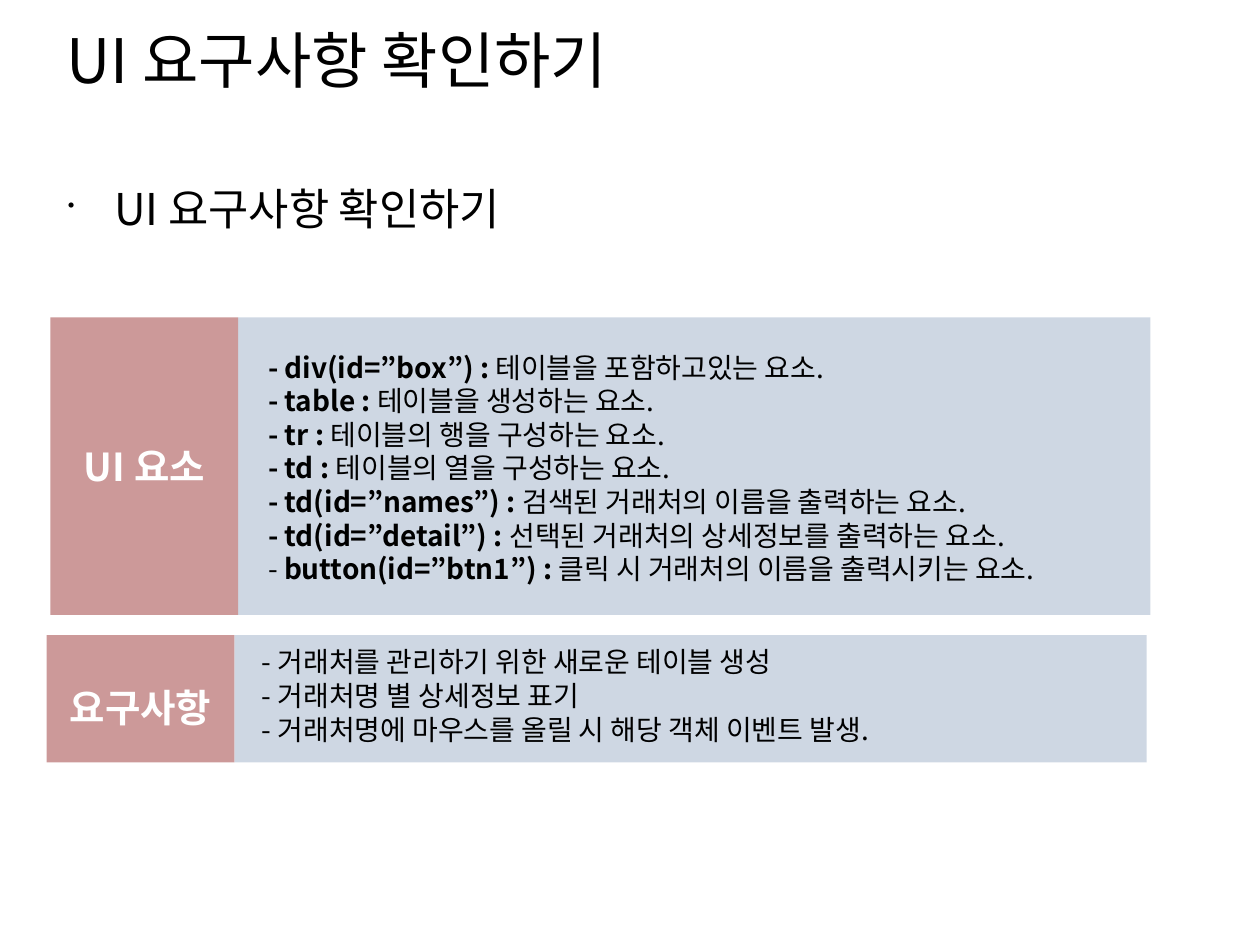
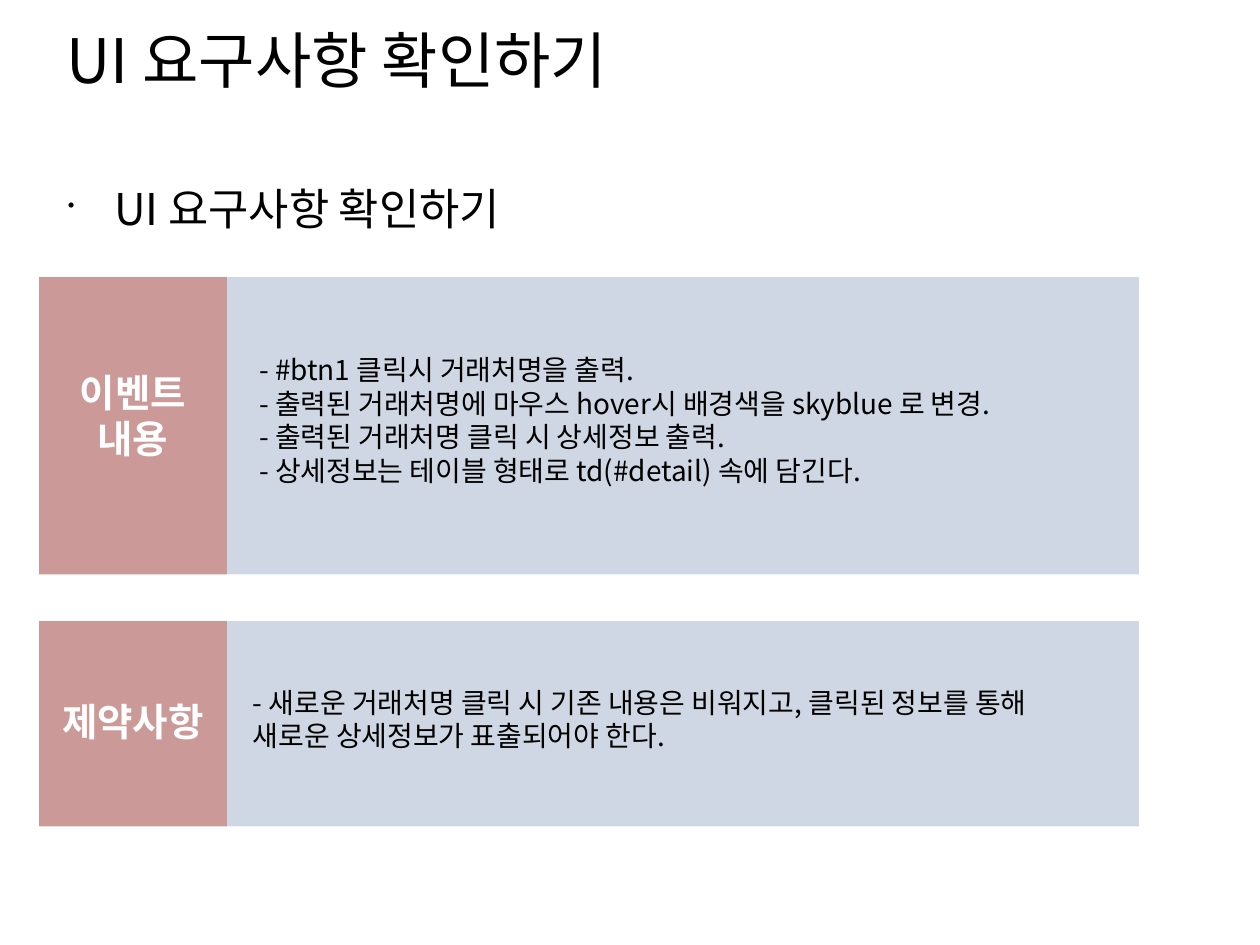
"""Build two slides of UI requirements as labelled bands."""
from dataclasses import dataclass

import pptx
import pptx.dml.color
import pptx.enum.shapes
import pptx.enum.text
import pptx.oxml.ns
import pptx.util
from lxml import etree


@dataclass(frozen=True)
class Theme:
    font: str = "Noto Sans CJK KR"
    ink: str = "000000"
    paper: str = "FFFFFF"
    label: str = "CC9999"
    panel: str = "9FB0C9"
    title_size: int = 35
    heading_size: int = 25
    label_size: int = 22
    body_size: int = 16


theme = Theme()
rgb = pptx.dml.color.RGBColor.from_string
qn = pptx.oxml.ns.qn
prs = pptx.Presentation()
prs.slide_width = pptx.util.Inches(10)
prs.slide_height = pptx.util.Inches(7.5)
col, row = prs.slide_width / 100, prs.slide_height / 75


def add_rect(s, x, y, w, h, color, alpha=None):
    sp = s.shapes.add_shape(pptx.enum.shapes.MSO_SHAPE.RECTANGLE,
                            round(x * col), round(y * row), round(w * col), round(h * row))
    sp.shadow.inherit = False
    sp.line.fill.background()
    sp.fill.solid()
    sp.fill.fore_color.rgb = rgb(color)
    if alpha:
        clr = sp.fill._xPr.find(".//" + qn("a:srgbClr"))
        etree.SubElement(clr, qn("a:alpha"), val=str(alpha * 1000))


def add_text(s, x, y, w, h, lines, size=theme.body_size, color=theme.ink,
             bold=False, align=None, bullet=None):
    tf = s.shapes.add_textbox(round(x * col), round(y * row),
                              round(w * col), round(h * row)).text_frame
    tf.word_wrap = True
    for i, line in enumerate(lines):
        p = tf.paragraphs[0] if i == 0 else tf.add_paragraph()
        p.alignment = align
        if bullet:
            pPr = p._p.get_or_add_pPr()
            pPr.set("marL", str(round(3.8 * col)))
            pPr.set("indent", str(round(-3.7 * col)))
            etree.SubElement(pPr, qn("a:buSzPct"), val="45000")
            etree.SubElement(pPr, qn("a:buChar"), char=bullet)
        for text, strong in [(line, bold)] if isinstance(line, str) else line:
            r = p.add_run()
            r.text = text
            r.font.name = theme.font
            r.font.size = pptx.util.Pt(size)
            r.font.bold = strong
            r.font.color.rgb = rgb(color)
            etree.SubElement(r._r.rPr, qn("a:ea"), typeface=theme.font)


heading = "UI 요구사항 확인하기"
label_w, panel_w = 14.9, 72.4
elements = [
    ("- div(id=”box”) : ", "테이블을 포함하고있는 요소."),
    ("- table : ", "테이블을 생성하는 요소."),
    ("- tr : ", "테이블의 행을 구성하는 요소."),
    ("- td : ", "테이블의 열을 구성하는 요소."),
    ("- td(id=”names”) : ", "검색된 거래처의 이름을 출력하는 요소."),
    ("- td(id=”detail”) : ", "선택된 거래처의 상세정보를 출력하는 요소."),
]
element_lines = [[(name, True), (use, False)] for name, use in elements]
element_lines.append([("- ", False), ("button(id=”btn1”) : ", True),
                      ("클릭 시 거래처의 이름을 출력시키는 요소.", False)])

slides = [
    [
        dict(x=4, y=25.2, h=23.6, label=["UI 요소"], label_y=34.7,
             text_at=(20.3, 27.3, 69.3, 19.7), lines=element_lines),
        dict(x=3.7, y=50.4, h=10.1, label=["요구사항"], label_y=53.8,
             text_at=(19.8, 50.7, 66.9, 9),
             lines=["- 거래처를 관리하기 위한 새로운 테이블 생성",
                    "- 거래처명 별 상세정보 표기",
                    "- 거래처명에 마우스를 올릴 시 해당 객체 이벤트 발생."]),
    ],
    [
        dict(x=3.1, y=22, h=23.6, label=["이벤트", "내용"], label_y=28.8,
             text_at=(19.6, 27.5, 69.3, 11.6),
             lines=["- #btn1 클릭시 거래처명을 출력.",
                    "- 출력된 거래처명에 마우스 hover시 배경색을 skyblue 로 변경.",
                    "- 출력된 거래처명 클릭 시 상세정보 출력.",
                    "- 상세정보는 테이블 형태로 td(#detail) 속에 담긴다."]),
        dict(x=3.1, y=49.3, h=16.3, label=["제약사항"], label_y=54.9,
             text_at=(19.1, 53.9, 64, 6.3),
             lines=["- 새로운 거래처명 클릭 시 기존 내용은 비워지고, "
                    "클릭된 정보를 통해 새로운 상세정보가 표출되어야 한다."]),
    ],
]

for bands in slides:
    s = prs.slides.add_slide(prs.slide_layouts[6])
    add_text(s, 4.3, 1.3, 83.8, 8.7, [heading], size=theme.title_size)
    add_text(s, 4.3, 13.9, 91.9, 6, [heading], size=theme.heading_size, bullet="•")
    for band in bands:
        x, y, h = band["x"], band["y"], band["h"]
        add_rect(s, x + label_w, y, panel_w, h, theme.panel, alpha=50)
        add_rect(s, x, y, label_w, h, theme.label)
        add_text(s, x, band["label_y"], label_w, 4.7 * len(band["label"]), band["label"],
                 size=theme.label_size, color=theme.paper, bold=True,
                 align=pptx.enum.text.PP_ALIGN.CENTER)
        add_text(s, *band["text_at"], band["lines"])

prs.save("out.pptx")
